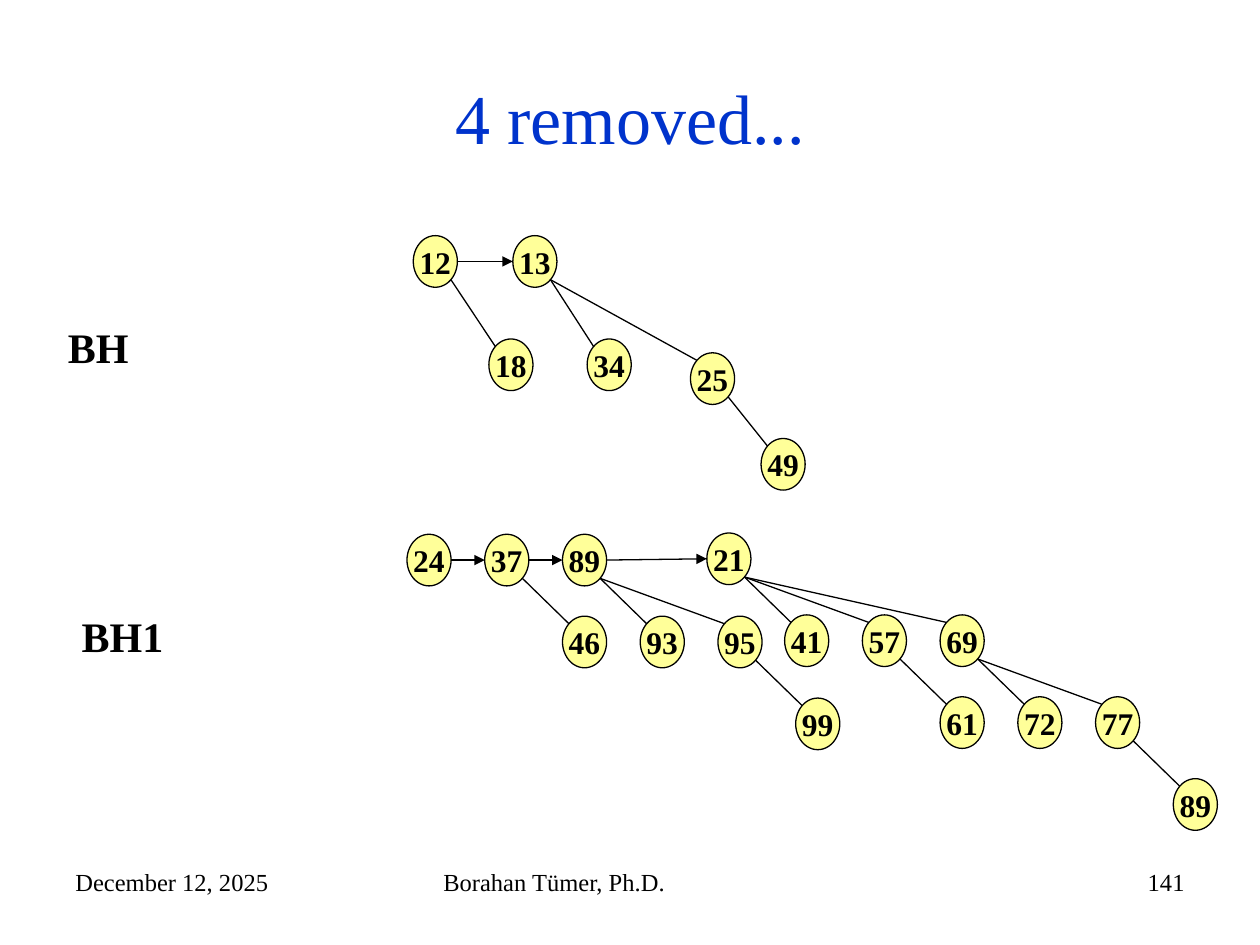
"""Slide showing two binomial heaps after a key is removed."""
import math
from itertools import pairwise

from lxml import etree
from pptx import Presentation
from pptx import util as u
from pptx.dml.color import RGBColor
from pptx.enum import shapes, text
from pptx.oxml.ns import qn

FONT = "Times New Roman"
BLACK, BLUE, YELLOW = "000000", "0033CC", "FFFF99"
NODE_W, NODE_H = 0.35, 0.41
COLUMN, ROW = 0.617, 0.65
DIAGONAL = math.sqrt(0.5)


def colour(code):
    """Return the colour of a hex string."""
    return RGBColor.from_string(code)


def inches(*lengths):
    """Convert lengths in inches to slide units."""
    return [u.Inches(length) for length in lengths]


def write(frame, words, size, code=BLACK, bold=False, align=text.PP_ALIGN.LEFT):
    """Write one formatted paragraph into a text frame."""
    frame.text = words
    paragraph = frame.paragraphs[0]
    paragraph.alignment = align
    font = paragraph.runs[0].font
    font.name, font.size, font.bold = FONT, u.Pt(size), bold
    font.color.rgb = colour(code)


def add_label(slide, box, words, size, anchor=text.MSO_ANCHOR.TOP, **style):
    """Add a wrapped text box."""
    frame = slide.shapes.add_textbox(*inches(*box)).text_frame
    frame.word_wrap = True
    frame.vertical_anchor = anchor
    write(frame, words, size, **style)


def rim(corner, across, down):
    """Return a point on a node's rim, in a direction from its centre."""
    left, top = corner
    return left + NODE_W / 2 * (1 + across), top + NODE_H / 2 * (1 + down)


def add_link(slide, start, end, arrow=False):
    """Draw a line between two points, with an optional arrowhead."""
    link = slide.shapes.add_connector(
        shapes.MSO_CONNECTOR.STRAIGHT, *inches(*start, *end))
    link.line.color.rgb = colour(BLACK)
    link.line.width = u.Pt(0.75)
    if arrow:
        etree.SubElement(link.line._get_or_add_ln(), qn("a:tailEnd"), type="triangle")
    etree.SubElement(link._element.spPr, qn("a:effectLst"))


def add_node(slide, corner, key):
    """Draw one key in its ellipse."""
    node = slide.shapes.add_shape(
        shapes.MSO_SHAPE.OVAL, *inches(*corner, NODE_W, NODE_H))
    node.shadow.inherit = False
    node.fill.solid()
    node.fill.fore_color.rgb = colour(YELLOW)
    node.line.color.rgb = colour(BLACK)
    node.line.width = u.Pt(0.75)
    frame = node.text_frame
    frame.margin_left = frame.margin_right = frame.margin_top = frame.margin_bottom = 0
    frame.word_wrap = False
    frame.vertical_anchor = text.MSO_ANCHOR.MIDDLE
    write(frame, str(key), 18, bold=True, align=text.PP_ALIGN.CENTER)


def tree(key, *children, step=None):
    """Describe a node, its children and its own offset from its parent."""
    return key, children, step


def add_tree(slide, corner, root):
    """Draw a tree, each child one row down and one column further right."""
    key, children, _ = root
    add_node(slide, corner, key)
    for order, child in enumerate(children, 1):
        across, down = child[2] or (order * COLUMN, ROW)
        place = corner[0] + across, corner[1] + down
        add_link(slide, rim(corner, DIAGONAL, DIAGONAL), rim(place, -DIAGONAL, -DIAGONAL))
        add_tree(slide, place, child)


def add_heap(slide, name, name_box, roots):
    """Draw a named heap: its trees and the arrows along its root list."""
    add_label(slide, name_box, name, 24, bold=True)
    for corner, root in roots:
        add_tree(slide, corner, root)
    for (before, _), (after, _) in pairwise(roots):
        add_link(slide, rim(before, 1, 0), rim(after, -1, 0), arrow=True)


def add_footer(slide, top, height):
    """Write the date, author and slide number."""
    add_label(slide, (0.5, top, 2.33, height), "December 12, 2025", 14)
    add_label(slide, (3.42, top, 3.17, height), "Borahan Tümer, Ph.D.", 14)
    add_label(slide, (7.17, top, 2.33, height), "141", 14, align=text.PP_ALIGN.RIGHT)


def main():
    """Build and save the slide."""
    deck = Presentation()
    deck.slide_width, deck.slide_height = inches(10, 7.5)
    slide = deck.slides.add_slide(deck.slide_layouts[6])
    add_label(slide, (0.5, 0.3, 9, 1.25), "4 removed...", 40, code=BLUE,
              anchor=text.MSO_ANCHOR.MIDDLE, align=text.PP_ALIGN.CENTER)
    add_heap(slide, "BH", (0.44, 2.5, 1.05, 0.5), [
        ((3.28, 1.87), tree(12, tree(18, step=(0.6, 0.82)))),
        ((4.07, 1.87), tree(13, tree(34, step=(0.59, 0.82)),
                            tree(25, tree(49, step=(0.56, 0.68)), step=(1.41, 0.93)))),
    ])
    left, top = 3.23, 4.24
    add_heap(slide, "BH1", (0.55, 4.8, 1.05, 0.5), [
        ((left, top), tree(24)),
        ((left + COLUMN, top), tree(37, tree(46))),
        ((left + 2 * COLUMN, top), tree(89, tree(93), tree(95, tree(99)))),
        ((5.61, 4.23), tree(21, tree(41), tree(57, tree(61)),
                            tree(69, tree(72), tree(77, tree(89))))),
    ])
    add_footer(slide, 6.83, 0.52)
    deck.save("out.pptx")


if __name__ == "__main__":
    main()
